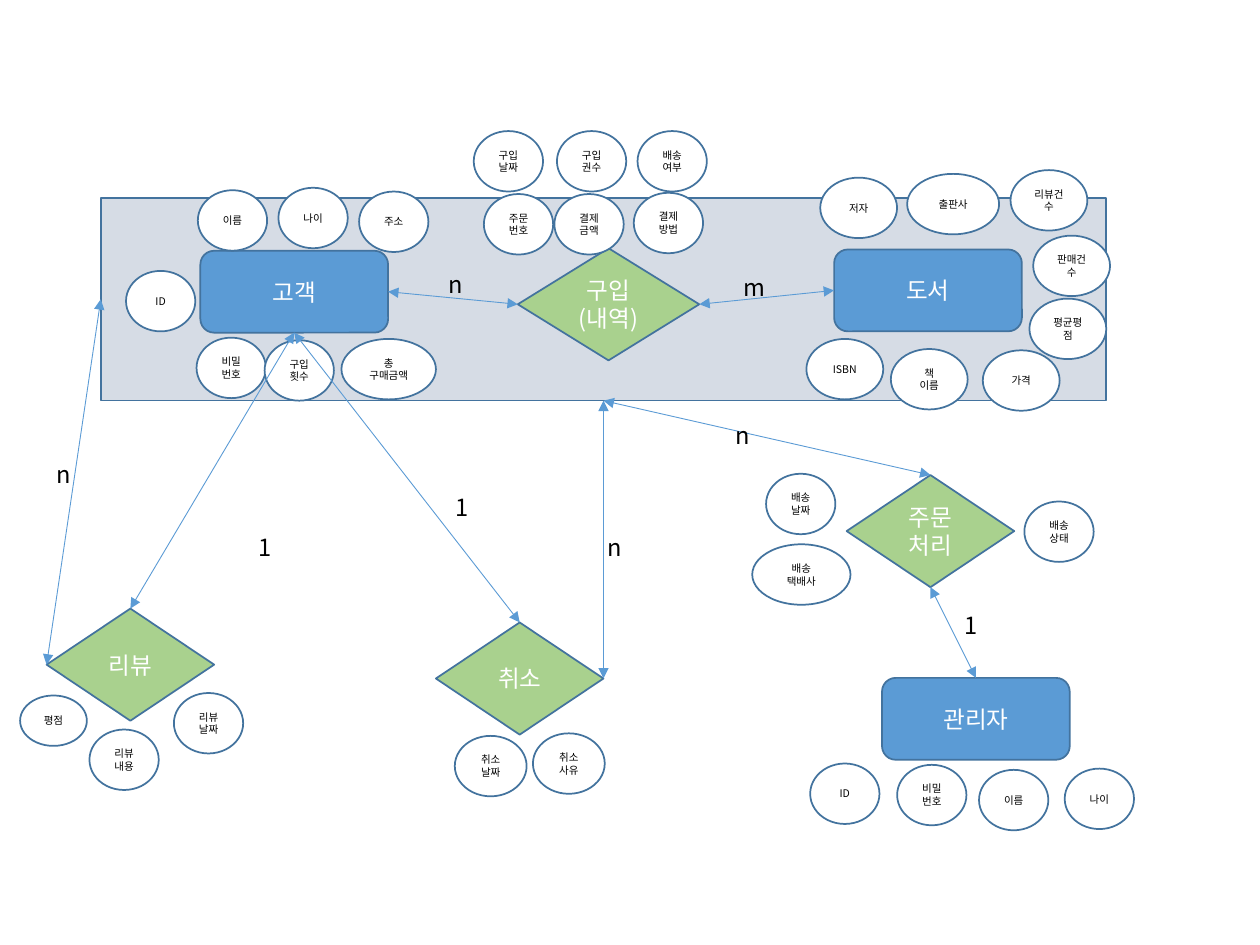
"""Draw the bookshop entity-relationship diagram."""
from lxml import etree
from pptx import Presentation
from pptx.dml.color import RGBColor
from pptx.enum.shapes import MSO_CONNECTOR, MSO_SHAPE
from pptx.enum.text import MSO_ANCHOR, MSO_AUTO_SIZE, PP_ALIGN
from pptx.oxml.ns import qn
from pptx.util import Inches, Pt

RECT, ROUND = MSO_SHAPE.RECTANGLE, MSO_SHAPE.ROUNDED_RECTANGLE
DIAMOND, OVAL = MSO_SHAPE.DIAMOND, MSO_SHAPE.OVAL
STRAIGHT = MSO_CONNECTOR.STRAIGHT
MIDDLE, CENTER, LEFT = MSO_ANCHOR.MIDDLE, PP_ALIGN.CENTER, PP_ALIGN.LEFT
TOP_SITE, LEFT_SITE, BASE_SITE, RIGHT_SITE = range(4)
FONT = "Noto Sans CJK KR"
COLORS = {"band": "D6DCE5", "entity": "5B9BD5", "action": "A9D18E",
          "edge": "43739E", "link": "5B9BD5", "white": "FFFFFF", "black": "000000"}
WIDE, HIGH = Inches(10), Inches(7.5)
COLS, ROWS = 100, 75

ENTITIES = {"도서": (66.2, 19.8), "관리자": (70, 53.8), "고객": (15.9, 19.9)}
ACTIONS = {"구입(내역)": (41.1, 19.7, 14.4), "주문처리": (67.2, 37.7, 13.3),
           "취소": (34.6, 49.4, 13.3), "리뷰": (3.7, 48.3, 13.3)}
FIELDS = {
    5.5: [("ID", 10, 21.5), ("비밀번호", 15.6, 26.8), ("주소", 28.5, 15.2),
          ("이름", 15.7, 15.1), ("나이", 22.1, 14.9), ("구입횟수", 21, 27),
          ("구입날짜", 37.6, 10.4), ("구입권수", 44.2, 10.4), ("배송여부", 50.6, 10.4),
          ("주문번호", 38.4, 15.4), ("결제금액", 44, 15.4), ("결제방법", 50.3, 15.3),
          ("ID", 64.3, 60.6), ("비밀번호", 71.2, 60.7), ("이름", 77.7, 61.1),
          ("나이", 84.5, 61), ("리뷰내용", 7.1, 57.9), ("리뷰날짜", 13.8, 55),
          ("배송날짜", 60.8, 37.6), ("배송상태", 81.3, 39.8)],
    5.7: [("취소날짜", 36.1, 58.4), ("취소사유", 42.3, 58.2)],
    6.1: [("ISBN", 64, 26.9), ("책 이름", 70.7, 27.7), ("가격", 78, 27.8),
          ("저자", 65.1, 14.1), ("평균평점", 81.7, 23.7), ("판매건수", 82, 18.7),
          ("리뷰건수", 80.2, 13.5)],
    7.3: [("출판사", 72, 13.8)],
    7.5: [("총 구매금액", 27.1, 26.9)],
    7.8: [("배송\n택배사", 59.7, 43.2)],
}
LINKS = [("고객", RIGHT_SITE, "구입(내역)", LEFT_SITE),
         ("구입(내역)", RIGHT_SITE, "도서", LEFT_SITE),
         ("주문처리", BASE_SITE, "관리자", TOP_SITE),
         ("band", BASE_SITE, "주문처리", TOP_SITE),
         ("고객", BASE_SITE, "리뷰", TOP_SITE),
         ("band", LEFT_SITE, "리뷰", LEFT_SITE),
         ("고객", BASE_SITE, "취소", TOP_SITE),
         ("band", BASE_SITE, "취소", RIGHT_SITE)]
LABELS = [("n", 34.6, 20.9), ("m", 58, 21.2), ("1", 75.6, 48), ("n", 47.2, 41.8),
          ("n", 3.5, 36), ("1", 19.5, 41.8), ("1", 35.2, 38.6), ("n", 57.4, 32.9)]


def tint(name):
    """Return a named colour."""
    return RGBColor.from_string(COLORS[name])


def place(x, y, w, h):
    """Turn grid columns and rows into slide lengths."""
    return (round(WIDE * x / COLS), round(HIGH * y / ROWS),
            round(WIDE * w / COLS), round(HIGH * h / ROWS))


def write(frame, text, size=13.5, color="white", align=CENTER):
    """Put formatted text in a frame."""
    frame.word_wrap = True
    frame.text = text
    for para in frame.paragraphs:
        para.alignment = align
        for run in para.runs:
            run.font.size, run.font.name = Pt(size), FONT
            run.font.color.rgb = tint(color)
            east = etree.SubElement(run.font._element, qn("a:ea"))
            east.set("typeface", FONT)


def node(slide, kind, box, fill, text="", **style):
    """Add an outlined shape with optional text."""
    shape = slide.shapes.add_shape(kind, *place(*box))
    shape.shadow.inherit = False
    shape.fill.solid()
    shape.fill.fore_color.rgb = tint(fill)
    shape.line.color.rgb, shape.line.width = tint("edge"), Pt(1)
    if text:
        shape.text_frame.vertical_anchor = MIDDLE
        write(shape.text_frame, text, **style)
    return shape


def link(slide, start, out, end, into):
    """Join two shapes with a double-headed arrow."""
    line = slide.shapes.add_connector(STRAIGHT, 0, 0, 0, 0)
    line.begin_connect(start, out)
    line.end_connect(end, into)
    line.line.color.rgb, line.line.width = tint("link"), Pt(0.5)
    stroke = line.line._get_or_add_ln()
    for tip in ("a:headEnd", "a:tailEnd"):
        etree.SubElement(stroke, qn(tip)).set("type", "triangle")
    etree.SubElement(line._element.spPr, qn("a:effectLst"))


def label(slide, text, x, y):
    """Add a cardinality label."""
    frame = slide.shapes.add_textbox(*place(x, y, 3.1, 3.3)).text_frame
    write(frame, text, color="black", align=LEFT)
    frame.auto_size = MSO_AUTO_SIZE.SHAPE_TO_FIT_TEXT


def main():
    """Build and save the slide."""
    deck = Presentation()
    deck.slide_width, deck.slide_height = WIDE, HIGH
    slide = deck.slides.add_slide(deck.slide_layouts[6])
    nodes = {"band": node(slide, RECT, (8, 15.7, 79.8, 16.1), "band")}
    for name, (x, y) in ENTITIES.items():
        nodes[name] = node(slide, ROUND, (x, y, 14.9, 6.5), "entity", name)
    for name, (x, y, w) in ACTIONS.items():
        nodes[name] = node(slide, DIAMOND, (x, y, w, 8.9), "action", name)
    for w, fields in FIELDS.items():
        for text, x, y in fields:
            node(slide, OVAL, (x, y, w, 4.8), "white", text, size=6, color="black")
    node(slide, OVAL, (1.6, 55.2, 5.3, 4), "white", "평점", size=6, color="black")
    for start, out, end, into in LINKS:
        link(slide, nodes[start], out, nodes[end], into)
    for item in LABELS:
        label(slide, *item)
    deck.save("out.pptx")


main()
